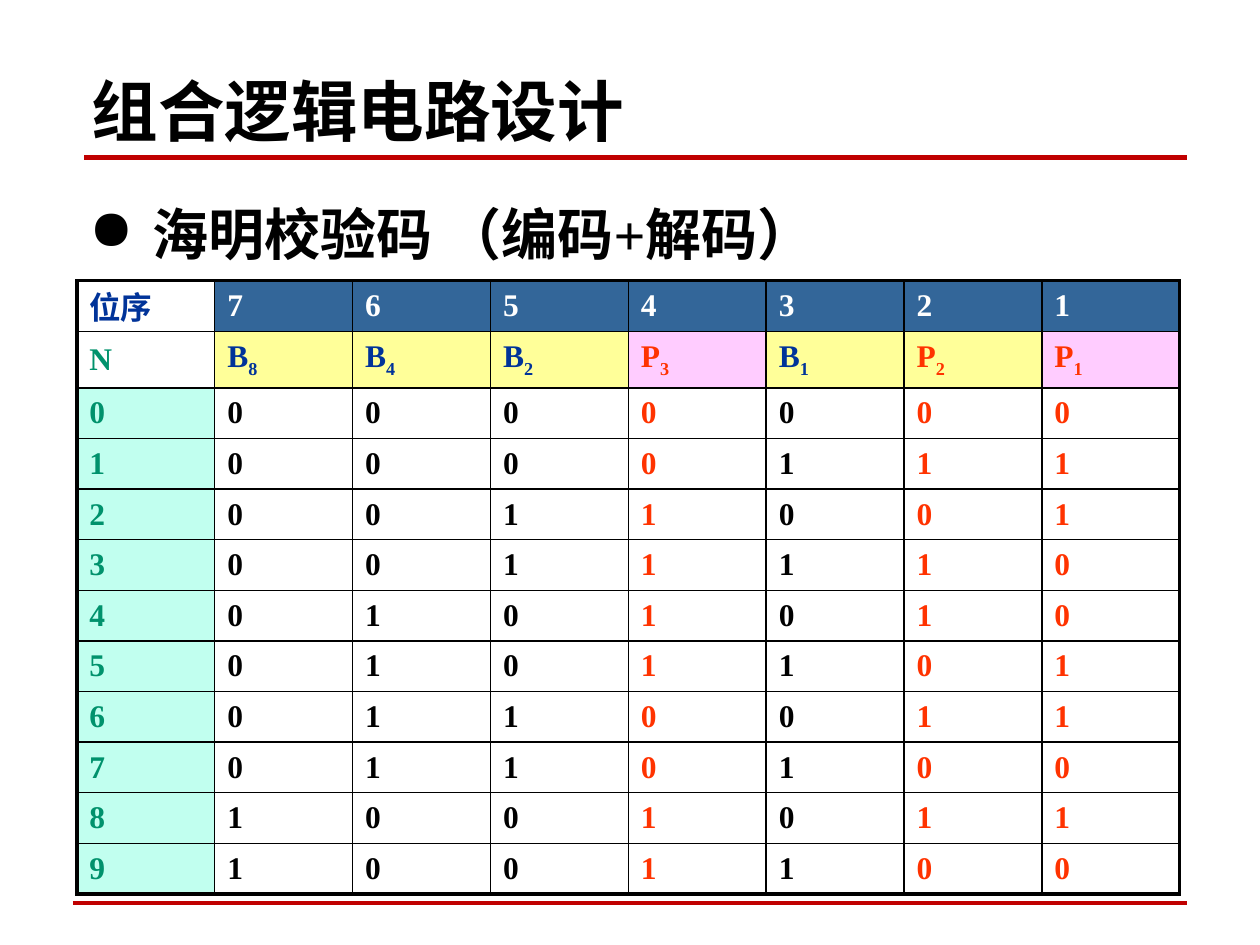
from dataclasses import dataclass

from lxml.etree import SubElement
from pptx import Presentation
from pptx.dml.color import RGBColor as RGB
from pptx.enum.shapes import MSO_CONNECTOR as Conn
from pptx.enum.text import MSO_ANCHOR as Anchor
from pptx.oxml.ns import qn
from pptx.util import Cm, Pt

# Content
TITLE = "组合逻辑电路设计"
SUBTITLE = "海明校验码 （编码+解码）"
POSITIONS = ["位序", "7", "6", "5", "4", "3", "2", "1"]
BITS = ["N", "B8", "B4", "B2", "P3", "B1", "P2", "P1"]
CODES = ["0000000", "0000111", "0011001", "0011110", "0101010",
         "0101101", "0110011", "0110100", "1001011", "1001100"]
ROWS = [POSITIONS, BITS] + [[str(n), *code] for n, code in enumerate(CODES)]
PINK_BITS = {"P3", "P1"}


@dataclass(frozen=True)
class Theme:
    title_font: str = "Cambria"
    body_font: str = "Times New Roman"
    title_size: int = 38
    subtitle_size: int = 32
    table_size: int = 18
    black: str = "000000"
    white: str = "FFFFFF"
    rule: str = "C00000"
    navy: str = "003399"
    header: str = "336699"
    green: str = "00926C"
    mint: str = "C1FFEF"
    red: str = "FF3300"
    yellow: str = "FFFF99"
    pink: str = "FFCCFF"
    thin: float = 1
    thick: float = 2.25


T = Theme()

# Layout in centimetres: x, y, width, height
TITLE_BOX = (1.6, 0.84, 22.23, 2.31)
SUBTITLE_BOX = (1.55, 3.56, 22.73, 1.8)
RULES = [(1.7, 3.18, 3), (1.47, 18.21, 2.25)]  # left, y, weight
RULE_RIGHT = 23.93
TABLE_X, TABLE_Y = 1.55, 5.66
COL_W, ROW_H, BITS_ROW_H = 2.78, 1.02, 1.14
INDENT = 1.27


def add_run(p, text, font, size, color):
    r = p.add_run()
    r.text = text
    r.font.name, r.font.size, r.font.bold = font, Pt(size), True
    r.font.color.rgb = RGB.from_string(color)
    return r


def add_text(s, box, text, font, size, anchor):
    tf = s.shapes.add_textbox(*map(Cm, box)).text_frame
    tf.word_wrap = True
    tf.vertical_anchor = anchor
    p = tf.paragraphs[0]
    add_run(p, text, font, size, T.black)
    return p


def add_rule(s, left, y, weight):
    line = s.shapes.add_connector(Conn.STRAIGHT, Cm(left), Cm(y), Cm(RULE_RIGHT), Cm(y))
    line.line.color.rgb = RGB.from_string(T.rule)
    line.line.width = Pt(weight)
    SubElement(line._element.spPr, qn("a:effectLst"))


def cell_colors(row, col):
    """Return the text and fill colours of a cell."""
    bit = BITS[col]
    check = bit.startswith("P")
    if row == 0:
        return (T.white, T.header) if col else (T.navy, T.white)
    if col == 0:
        return T.green, T.white if row == 1 else T.mint
    if row == 1:
        return T.red if check else T.navy, T.pink if bit in PINK_BITS else T.yellow
    return T.red if check else T.black, T.white


def set_borders(cell, row, col):
    outer = {"L": col == 0, "R": col == len(BITS) - 1,
             "T": row == 0, "B": row == len(ROWS) - 1}
    tcPr = cell._tc.get_or_add_tcPr()
    for side, is_outer in outer.items():
        ln = SubElement(tcPr, qn(f"a:ln{side}"), w=str(Pt(T.thick if is_outer else T.thin)))
        SubElement(SubElement(ln, qn("a:solidFill")), qn("a:srgbClr"), val=T.black)


def fill_cell(cell, row, col):
    color, fill = cell_colors(row, col)
    set_borders(cell, row, col)
    cell.fill.solid()
    cell.fill.fore_color.rgb = RGB.from_string(fill)
    cell.margin_top = cell.margin_bottom = 0
    cell.vertical_anchor = Anchor.MIDDLE
    p = cell.text_frame.paragraphs[0]
    text = ROWS[row][col]
    if row == 1 and col:
        add_run(p, text[0], T.body_font, T.table_size, color)
        index = add_run(p, text[1], T.body_font, T.table_size, color)
        index.font._element.set("baseline", "-25000")
    else:
        add_run(p, text, T.body_font, T.table_size, color)


def main():
    prs = Presentation()
    prs.slide_width, prs.slide_height = Cm(25.4), Cm(19.05)
    s = prs.slides.add_slide(prs.slide_layouts[6])

    # Rules above and below the body
    for rule in RULES:
        add_rule(s, *rule)

    # Bulleted subtitle and title
    p = add_text(s, SUBTITLE_BOX, SUBTITLE, T.body_font, T.subtitle_size, Anchor.TOP)
    p.line_spacing = 1.25
    pPr = p._p.get_or_add_pPr()
    pPr.set("marL", str(Cm(INDENT)))
    pPr.set("indent", str(-Cm(INDENT)))
    SubElement(pPr, qn("a:buChar"), char="●")
    add_text(s, TITLE_BOX, TITLE, T.title_font, T.title_size, Anchor.BOTTOM)

    # Hamming code table
    heights = [BITS_ROW_H if row == 1 else ROW_H for row in range(len(ROWS))]
    table = s.shapes.add_table(len(ROWS), len(BITS), Cm(TABLE_X), Cm(TABLE_Y),
                               Cm(COL_W * len(BITS)), Cm(sum(heights))).table
    table.first_row = table.horz_banding = False
    for column in table.columns:
        column.width = Cm(COL_W)
    for row, height in enumerate(heights):
        table.rows[row].height = Cm(height)
        for col in range(len(BITS)):
            fill_cell(table.cell(row, col), row, col)

    prs.save("out.pptx")


if __name__ == "__main__":
    main()
